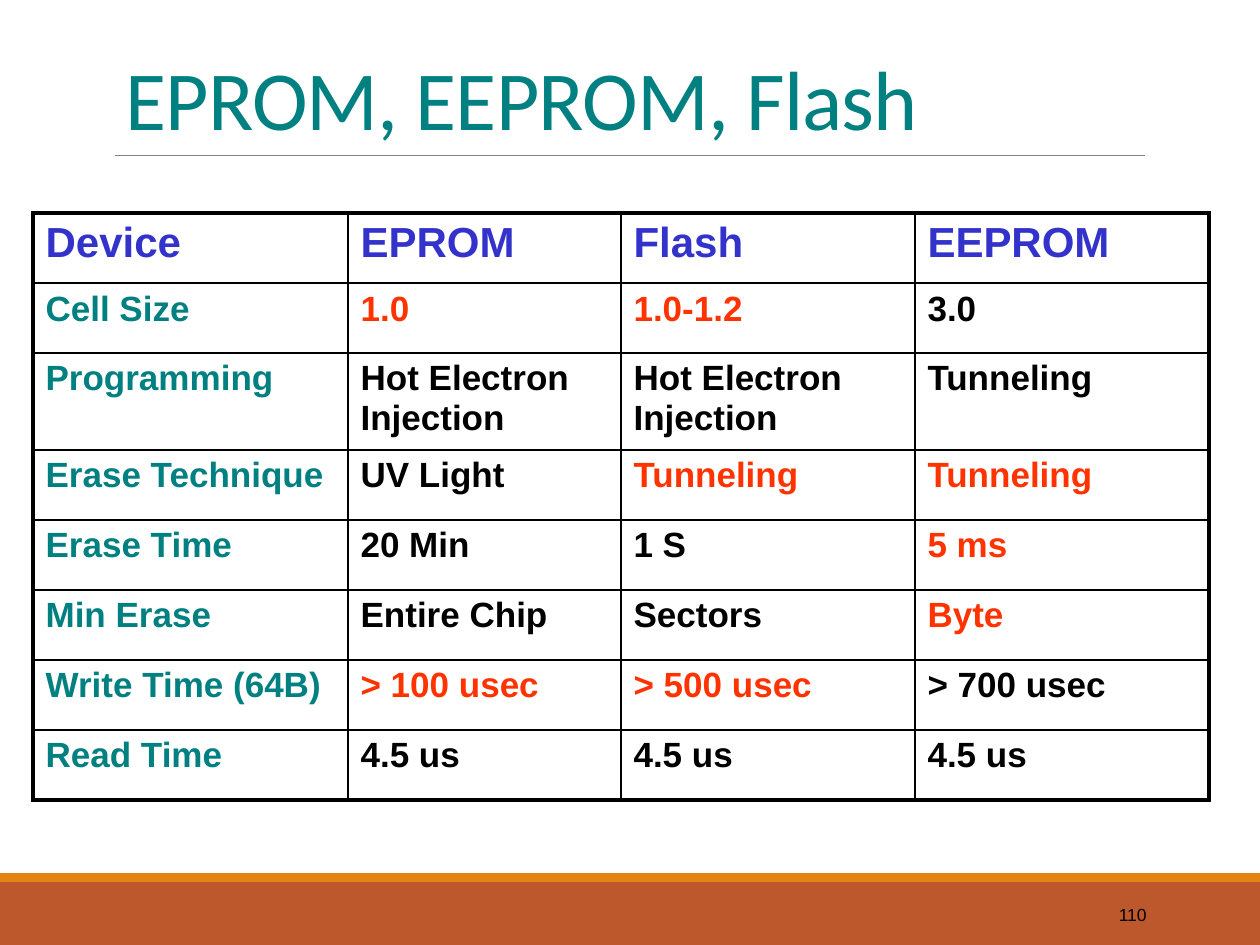
from lxml import etree
from pptx import Presentation
from pptx.dml.color import RGBColor
from pptx.enum.shapes import MSO_CONNECTOR, MSO_SHAPE
from pptx.enum.text import MSO_ANCHOR, MSO_AUTO_SIZE, PP_ALIGN
from pptx.oxml.ns import qn
from pptx.util import Emu, Pt

RECT = MSO_SHAPE.RECTANGLE
STRAIGHT = MSO_CONNECTOR.STRAIGHT
LEFT, RIGHT = PP_ALIGN.LEFT, PP_ALIGN.RIGHT
TOP, MIDDLE, BOTTOM = MSO_ANCHOR.TOP, MSO_ANCHOR.MIDDLE, MSO_ANCHOR.BOTTOM
NO_FIT = MSO_AUTO_SIZE.NONE

BLACK = RGBColor(0x00, 0x00, 0x00)
TEAL = RGBColor(0x00, 0x80, 0x80)
BLUE = RGBColor(0x33, 0x33, 0xCC)
RED = RGBColor(0xFF, 0x33, 0x00)
GRAY = RGBColor(0x80, 0x80, 0x80)
RUST = RGBColor(0xBD, 0x58, 0x2C)
ORANGE = RGBColor(0xE4, 0x83, 0x12)

DPI = 126
WIDTH, HEIGHT = 1260, 945

HEADER = ["Device", "EPROM", "Flash", "EEPROM"]
ROWS = [
    (["Cell Size", "1.0", "1.0-1.2", "3.0"], {1, 2}),
    (["Programming", "Hot Electron Injection", "Hot Electron Injection", "Tunneling"], set()),
    (["Erase Technique", "UV Light", "Tunneling", "Tunneling"], {2, 3}),
    (["Erase Time", "20 Min", "1 S", "5 ms"], {3}),
    (["Min Erase", "Entire Chip", "Sectors", "Byte"], {3}),
    (["Write Time (64B)", "> 100 usec", "> 500 usec", "> 700 usec"], {1, 2}),
    (["Read Time", "4.5 us", "4.5 us", "4.5 us"], set()),
]
COL_WIDTHS = [315, 273, 294, 294]
ROW_HEIGHTS = [70, 70, 97, 70, 70, 70, 70, 70]


def px(n):
    return Emu(round(n * 914400 / DPI))


class SlideBuilder:
    body_font = "Arial"
    title_font = "Calibri"
    inner, outer = 1, 2.25

    def __init__(self, s):
        self.s = s

    def run(self, p, text, size, color, font=None, bold=False):
        r = p.add_run()
        r.text = text
        r.font.name = font or self.body_font
        r.font.size = Pt(size)
        r.font.bold = bold
        r.font.color.rgb = color
        return r

    def title(self, text, x, y, w, h):
        sp = self.s.shapes.title
        sp.left, sp.top, sp.width, sp.height = map(px, (x, y, w, h))
        tf = sp.text_frame
        tf.auto_size = NO_FIT
        tf.vertical_anchor = BOTTOM
        p = tf.paragraphs[0]
        p.alignment = LEFT
        p.line_spacing = 0.85
        r = self.run(p, text, 48, TEAL, self.title_font)
        r.font._element.set("spc", "-50")

    def bar(self, x, y, w, h, color):
        sp = self.s.shapes.add_shape(RECT, *map(px, (x, y, w, h)))
        sp.shadow.inherit = False
        sp.fill.solid()
        sp.fill.fore_color.rgb = color
        sp.line.fill.background()

    def rule(self, x1, y1, x2, y2, color, width):
        line = self.s.shapes.add_connector(STRAIGHT, *map(px, (x1, y1, x2, y2)))
        line.line.color.rgb = color
        line.line.width = Pt(width)
        etree.SubElement(line._element.spPr, qn("a:effectLst"))

    def label(self, text, x, y, w, h, size):
        tf = self.s.shapes.add_textbox(*map(px, (x, y, w, h))).text_frame
        tf.word_wrap = True
        tf.vertical_anchor = MIDDLE
        p = tf.paragraphs[0]
        p.alignment = RIGHT
        self.run(p, text, size, BLACK)

    def border(self, cell, side, width):
        tc_pr = cell._tc.get_or_add_tcPr()
        ln = etree.SubElement(tc_pr, qn(f"a:ln{side}"), w=str(Pt(width)))
        fill = etree.SubElement(ln, qn("a:solidFill"))
        etree.SubElement(fill, qn("a:srgbClr"), val=str(BLACK))

    def cell(self, cell, text, size, color, outer_sides):
        cell.vertical_anchor = TOP
        for side in "LRTB":
            self.border(cell, side, self.outer if side in outer_sides else self.inner)
        cell.fill.background()
        self.run(cell.text_frame.paragraphs[0], text, size, color, bold=True)

    def table(self, x, y, widths, heights, header, rows):
        frame = self.s.shapes.add_table(
            len(heights), len(widths), *map(px, (x, y, sum(widths), sum(heights))))
        table = frame.table
        table.first_row = False
        table.horz_banding = False
        for col, w in zip(table.columns, widths):
            col.width = px(w)
        for row, h in zip(table.rows, heights):
            row.height = px(h)
        last_row, last_col = len(heights) - 1, len(widths) - 1
        for i, (texts, reds) in enumerate([(header, set())] + rows):
            for j, text in enumerate(texts):
                if i == 0:
                    size, color = 24, BLUE
                else:
                    size = 20
                    color = TEAL if j == 0 else RED if j in reds else BLACK
                edges = {"L": j == 0, "R": j == last_col, "T": i == 0, "B": i == last_row}
                outer_sides = [side for side, on_edge in edges.items() if on_edge]
                self.cell(table.cell(i, j), text, size, color, outer_sides)


def main():
    prs = Presentation()
    prs.slide_width, prs.slide_height = px(WIDTH), px(HEIGHT)
    b = SlideBuilder(prs.slides.add_slide(prs.slide_layouts[5]))
    b.bar(0, 882, WIDTH, 63, RUST)
    b.bar(0, 873, WIDTH, 9, ORANGE)
    b.rule(115, 155, 1145, 155, GRAY, 0.5)
    b.label("110", 1023, 890, 136, 50, 10)
    b.title("EPROM, EEPROM, Flash", 113, 39, 1040, 115)
    b.table(33, 213, COL_WIDTHS, ROW_HEIGHTS, HEADER, ROWS)
    prs.save("out.pptx")


if __name__ == "__main__":
    main()
